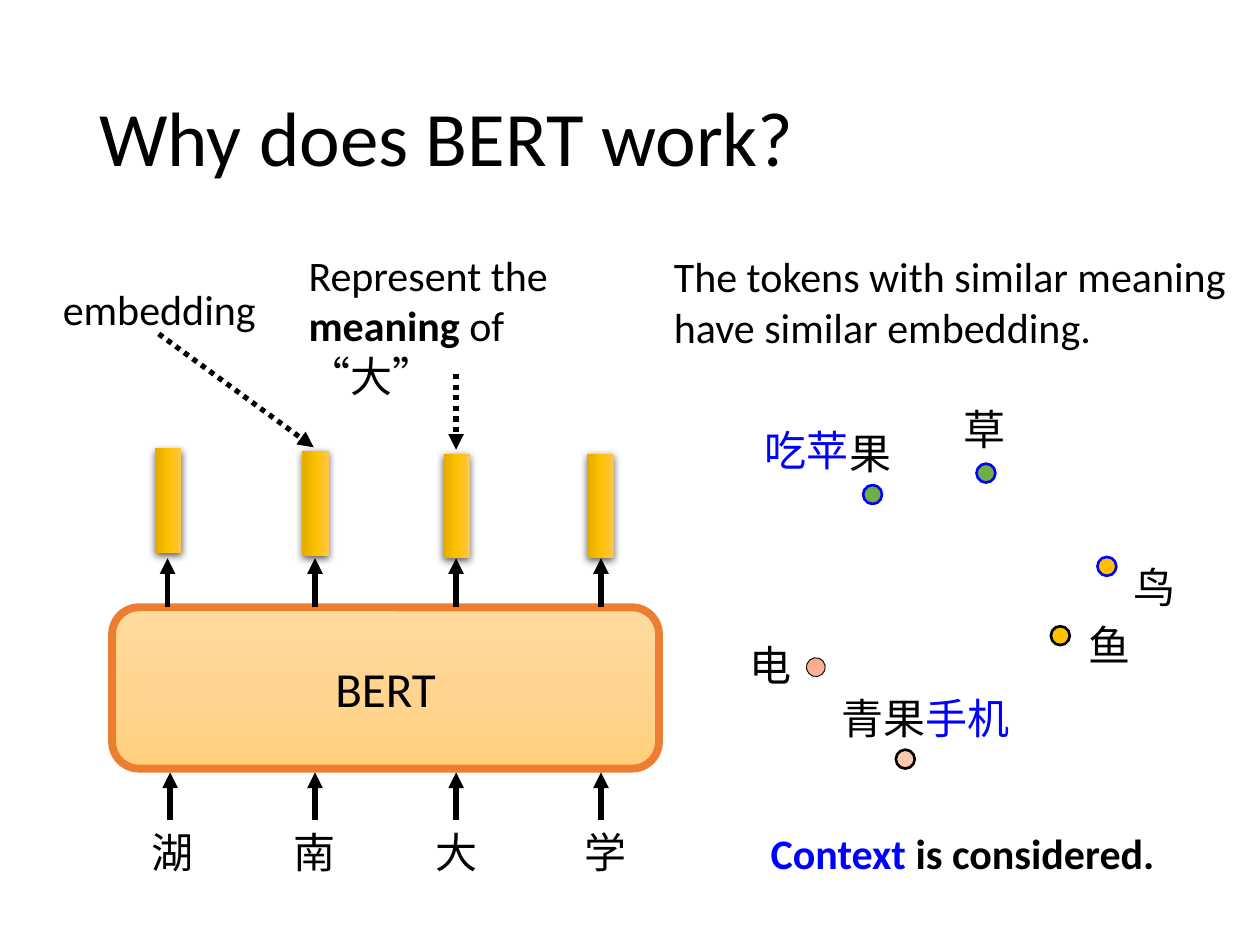
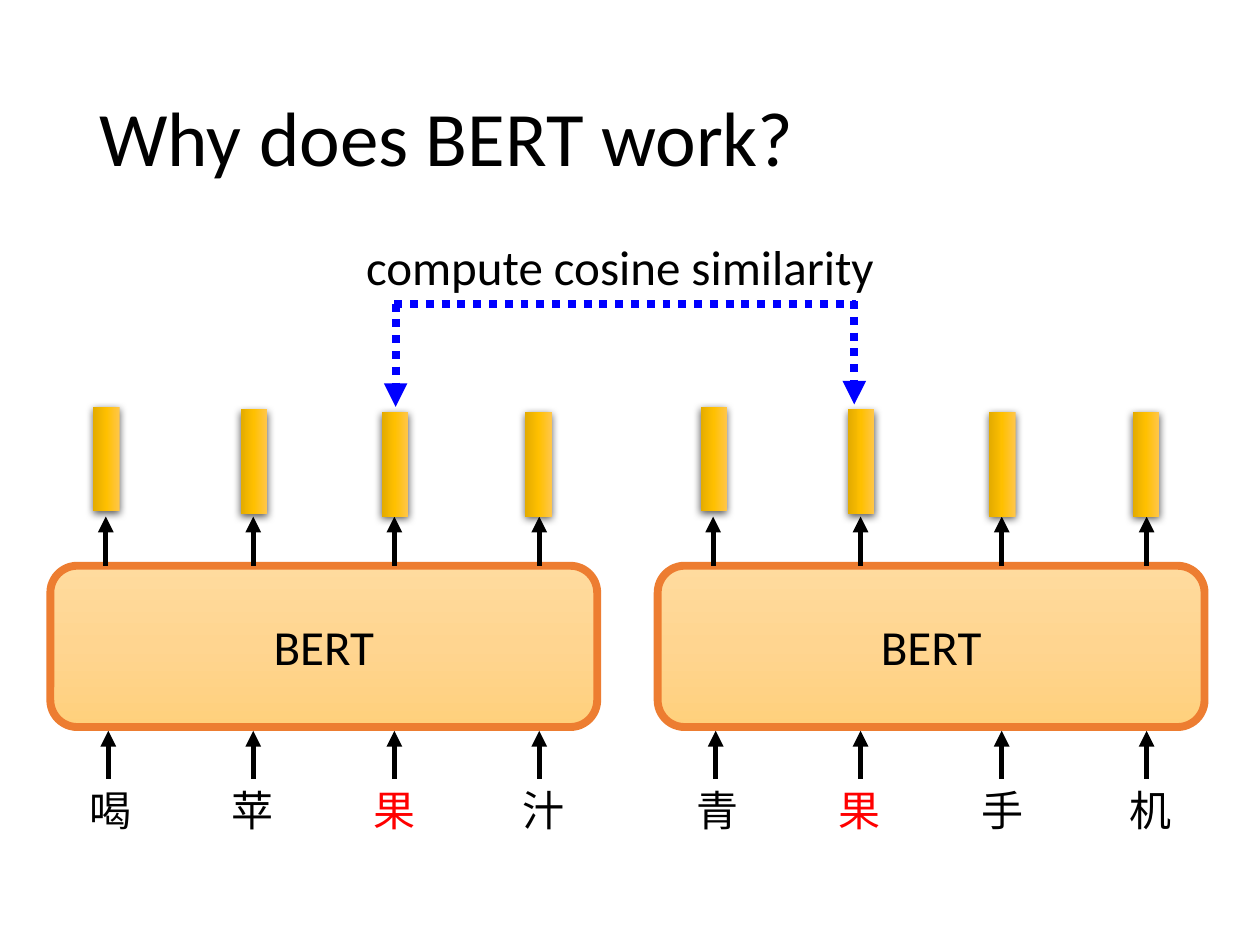
from copy import deepcopy

from lxml import etree
from pptx import Presentation
from pptx.dml.color import RGBColor
from pptx.enum import dml, shapes, text
from pptx.oxml import ns

PX = 9144
POINT = 12700
BLACK, BLUE, RED, GREEN, GOLD = "000000", "0000FF", "FF0000", "70AD47", "FFC000"
LEFT, CENTER, RIGHT = text.PP_ALIGN.LEFT, text.PP_ALIGN.CENTER, text.PP_ALIGN.RIGHT
TOP, MIDDLE = text.MSO_ANCHOR.TOP, text.MSO_ANCHOR.MIDDLE
OVAL = shapes.MSO_SHAPE.OVAL
colour = RGBColor.from_string


def write(box, spans, size=24, align=LEFT, anchor=TOP):
    frame = box.text_frame
    frame.word_wrap = True
    frame.vertical_anchor = anchor
    para = frame.paragraphs[0]
    para.alignment = align
    for words, ink, bold in spans:
        span = para.add_run()
        span.text = words
        font = span.font
        font.name = "Calibri" if words.isascii() else "Noto Sans CJK TC"
        font.size = size * POINT
        font.bold = bold
        font.color.rgb = colour(ink)
        etree.SubElement(span._r.rPr, ns.qn("a:ea"), typeface="Noto Sans CJK TC")
    return para


def connect(page, ends, ink=BLACK, width=3, dotted=False, arrow=True):
    line = page.shapes.add_connector(shapes.MSO_CONNECTOR.STRAIGHT, *[end * PX for end in ends])
    line.line.color.rgb = colour(ink)
    line.line.width = int(width * POINT)
    if dotted:
        line.line.dash_style = dml.MSO_LINE.ROUND_DOT
    if arrow:
        etree.SubElement(line.line._ln, ns.qn("a:tailEnd"), type="triangle")
    etree.SubElement(line._element.spPr, ns.qn("a:effectLst"))


deck = Presentation()
deck.slide_width, deck.slide_height = 1000 * PX, 750 * PX
meaning_page, similarity_page = [deck.slides.add_slide(deck.slide_layouts[6]) for _ in range(2)]

for page in (meaning_page, similarity_page):
    title = page.shapes.add_textbox(69 * PX, 40 * PX, 862 * PX, 145 * PX)
    write(title, [("Why does BERT work?", BLACK, False)], 44, LEFT, MIDDLE).line_spacing = 0.9

models = [
    (meaning_page, 89, 482, "湖南大学", ""),
    (similarity_page, 40, 449, "喝苹果汁", "果"),
    (similarity_page, 522, 449, "青果手机", "果"),
]
columns = [(46, 44, 3, -95, -10), (161, 161, 120, -93, 103),
           (273, 273, 232, -91, 216), (388, 388, 346, -91, 334)]

gradients = []
for page, left, top, tokens, shared_token in models:
    body = page.shapes.add_shape(shapes.MSO_SHAPE.ROUNDED_RECTANGLE,
                                 left * PX, top * PX, 434 * PX, 128 * PX)
    body.shadow.inherit = False
    body.line.color.rgb = colour("ED7D31")
    body.line.width = int(4.5 * POINT)
    write(body, [("BERT", BLACK, False)], 28, CENTER, MIDDLE)
    gradients.append((body, ["FFDB9E", "FFD590", "FFD07C"]))

    for token, (input_x, output_x, bar_x, bar_y, label_x) in zip(tokens, columns):
        connect(page, (left + input_x, top + 169, left + input_x, top + 131))
        connect(page, (left + output_x, top, left + output_x, top - 39))

        bar = page.shapes.add_shape(shapes.MSO_SHAPE.RECTANGLE, (left + bar_x) * PX,
                                    (top + bar_y) * PX, 83 * PX, 21 * PX)
        bar.rotation = 90
        bar.line.fill.background()
        bar.shadow.inherit = False
        effects = bar._element.spPr.find(ns.qn("a:effectLst"))
        shadow = etree.SubElement(effects, ns.qn("a:outerShdw"), blurRad="57150", dist="19050",
                                  dir="5400000", algn="ctr", rotWithShape="0")
        shade = etree.SubElement(shadow, ns.qn("a:srgbClr"), val=BLACK)
        etree.SubElement(shade, ns.qn("a:alpha"), val="63000")
        gradients.append((bar, ["FFC64B", GOLD, "E3AB00"]))

        label = page.shapes.add_textbox((left + label_x) * PX, (top + 169) * PX, 115 * PX, 50 * PX)
        write(label, [(token, RED if token == shared_token else BLACK, False)], 24, CENTER)

dots = [
    (775, 368, GREEN, BLUE, 1.5),
    (685, 385, GREEN, BLUE, 1.5),
    (871, 442, GOLD, BLUE, 1.5),
    (834, 497, GOLD, BLACK, 1.5),
    (640, 522, None, BLACK, 0.5),
    (711, 595, "F8CBAD", BLACK, 1.5),
]
for left, top, paint, edge, width in dots:
    dot = meaning_page.shapes.add_shape(OVAL, left * PX, top * PX, 15 * PX, 15 * PX)
    dot.shadow.inherit = False
    dot.line.color.rgb = colour(edge)
    dot.line.width = int(width * POINT)
    if paint:
        dot.fill.solid()
        dot.fill.fore_color.rgb = colour(paint)
    else:
        dot.rotation = 169.8
        gradients.append((dot, ["F7BDA5", "F5B196", "F8A582"]))

for shape, inks in gradients:
    shape.fill.gradient()
    shape.fill.gradient_angle = 270
    stop_list = shape._element.spPr.find(".//" + ns.qn("a:gsLst"))
    stop_list.append(deepcopy(stop_list[-1]))
    for stop, ink, position in zip(shape.fill.gradient_stops, inks, (0, 0.5, 1)):
        stop.color.rgb = colour(ink)
        stop.position = position

captions = [
    (meaning_page, 235, 193, 265, 91, LEFT, 24,
     [("Represent the ", BLACK, False), ("meaning", BLACK, True),
      (" of ", BLACK, False), ("“大”", BLACK, False)]),
    (meaning_page, 40, 220, 265, 50, LEFT, 24, [("embedding", BLACK, False)]),
    (meaning_page, 525, 194, 467, 91, LEFT, 24,
     [("The tokens with similar meaning have similar embedding.", BLACK, False)]),
    (meaning_page, 727, 315, 108, 50, CENTER, 24, [("草", BLACK, False)]),
    (meaning_page, 592, 332, 91, 50, RIGHT, 24, [("吃苹", BLUE, False)]),
    (meaning_page, 664, 334, 62, 50, LEFT, 24, [("果", BLACK, False)]),
    (meaning_page, 890, 441, 79, 50, LEFT, 24, [("鸟", BLACK, False)]),
    (meaning_page, 854, 487, 79, 50, LEFT, 24, [("鱼", BLACK, False)]),
    (meaning_page, 585, 503, 79, 50, LEFT, 24, [("电", BLACK, False)]),
    (meaning_page, 658, 545, 207, 50, LEFT, 24,
     [("青果", BLACK, False), ("手机", BLUE, False)]),
    (meaning_page, 595, 652, 338, 50, CENTER, 24,
     [("Context", BLUE, True), (" is considered.", BLACK, True)]),
    (similarity_page, 269, 183, 446, 57, CENTER, 28,
     [("compute cosine similarity", BLACK, False)]),
]
for page, left, top, width, height, align, size, spans in captions:
    caption = page.shapes.add_textbox(left * PX, top * PX, width * PX, height * PX)
    write(caption, spans, size, align)

for ends in ((126, 265, 249, 355), (362, 297, 362, 357)):
    connect(meaning_page, ends, dotted=True)

connect(similarity_page, (313, 241, 679, 241), BLUE, 4.5, dotted=True, arrow=False)
for ends in ((678, 239, 678, 321), (314, 241, 314, 323)):
    connect(similarity_page, ends, BLUE, 4.5, dotted=True)

deck.save("out.pptx")
